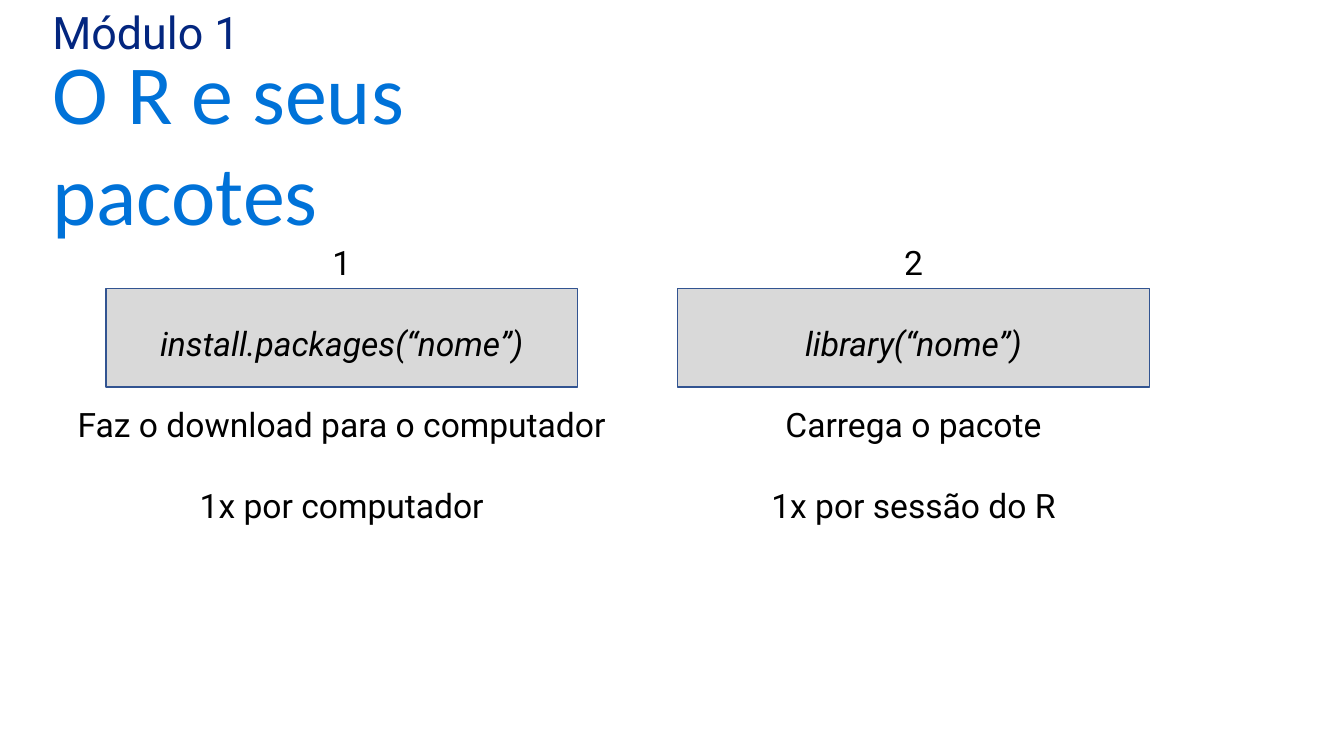
from dataclasses import dataclass

from pptx import Presentation
from pptx.dml.color import RGBColor
from pptx.enum import shapes, text
from pptx.util import Inches, Pt

COLORS = {"title": "0072D8", "module": "03267F", "body": "000000",
          "box": "D9D9D9", "border": "325491"}
HEADING_LEFT, HEADING_WIDTH = 0.42, 6.02
BOX_TOP, BOX_WIDTH, BOX_HEIGHT = 2.86, 4.68, 0.98
STEP_TOP, STEP_HEIGHT = 2.35, 2.93
LINE_GAP = 29


@dataclass
class Step:
    box_left: float
    text_width: float
    number: str
    command: str
    effect: str
    frequency: str


STEPS = [
    Step(1.05, 5.73, "1", "install.packages(“nome”)",
         "Faz o download para o computador", "1x por computador"),
    Step(6.72, 3.09, "2", "library(“nome”)",
         "Carrega o pacote", "1x por sessão do R"),
]


def place(sp, left: float, top: float, width: float, height: float) -> None:
    frame = {"left": left, "top": top, "width": width, "height": height}
    for name, value in frame.items():
        setattr(sp, name, Inches(value))


def write(p, content: str, color: str, **font_format) -> None:
    r = p.add_run()
    r.text = content
    r.font.color.rgb = RGBColor.from_string(COLORS[color])
    for name, value in font_format.items():
        setattr(r.font, name, value)


def format_heading(sp, top: float, height: float, content: str,
                   color: str, size: int, font: str) -> None:
    place(sp, HEADING_LEFT, top, HEADING_WIDTH, height)
    tf = sp.text_frame
    frame_format = {"word_wrap": True, "auto_size": text.MSO_AUTO_SIZE.NONE,
                    "vertical_anchor": text.MSO_ANCHOR.TOP}
    for name, value in frame_format.items():
        setattr(tf, name, value)
    p = tf.paragraphs[0]
    paragraph_format = {"alignment": text.PP_ALIGN.LEFT,
                        "space_before": Pt(10), "line_spacing": 1.0}
    for name, value in paragraph_format.items():
        setattr(p, name, value)
    write(p, content, color, size=Pt(size), name=font)


def add_box(s, left: float) -> None:
    sp = s.shapes.add_shape(
        shapes.MSO_SHAPE.RECTANGLE, Inches(left), Inches(BOX_TOP),
        Inches(BOX_WIDTH), Inches(BOX_HEIGHT))
    sp.shadow.inherit = False
    sp.fill.solid()
    sp.fill.fore_color.rgb = RGBColor.from_string(COLORS["box"])
    sp.line.color.rgb = RGBColor.from_string(COLORS["border"])
    sp.line.width = Pt(1)


def add_step_text(s, step: Step) -> None:
    """Write the step's four lines, centred on its box."""
    left = step.box_left + (BOX_WIDTH - step.text_width) / 2
    sp = s.shapes.add_textbox(Inches(left), Inches(STEP_TOP),
                              Inches(step.text_width), Inches(STEP_HEIGHT))
    tf = sp.text_frame
    tf.word_wrap = False
    lines = [step.number, step.command, step.effect, step.frequency]
    for i, line in enumerate(lines):
        p = tf.add_paragraph() if i else tf.paragraphs[0]
        p.alignment = text.PP_ALIGN.CENTER
        p.space_before = Pt(LINE_GAP if i else 0)
        write(p, line, "body", size=Pt(24), name="Roboto",
              italic=line == step.command)


def main() -> None:
    prs = Presentation()
    prs.slide_width, prs.slide_height = Inches(13.33), Inches(7.5)
    s = prs.slides.add_slide(prs.slide_layouts[5])
    format_heading(s.shapes.title, 0.35, 0.79, "O R e seus pacotes",
                   "title", 60, "Calibri")
    module = s.shapes.add_textbox(0, 0, 0, 0)
    format_heading(module, 0, 0.9, "Módulo 1", "module", 32, "Roboto")
    for step in STEPS:
        add_box(s, step.box_left)
    for step in STEPS:
        add_step_text(s, step)
    prs.save("out.pptx")


if __name__ == "__main__":
    main()
